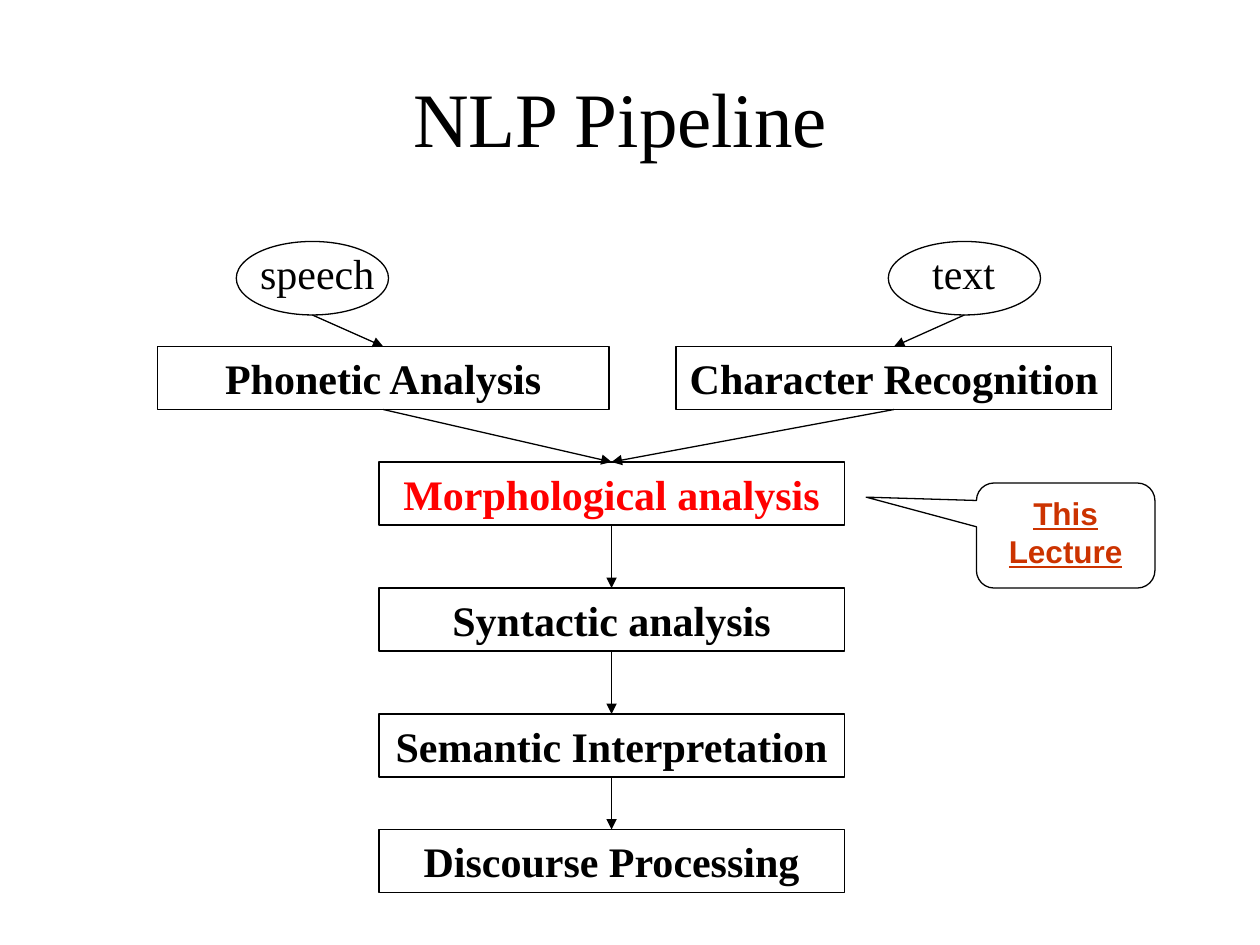
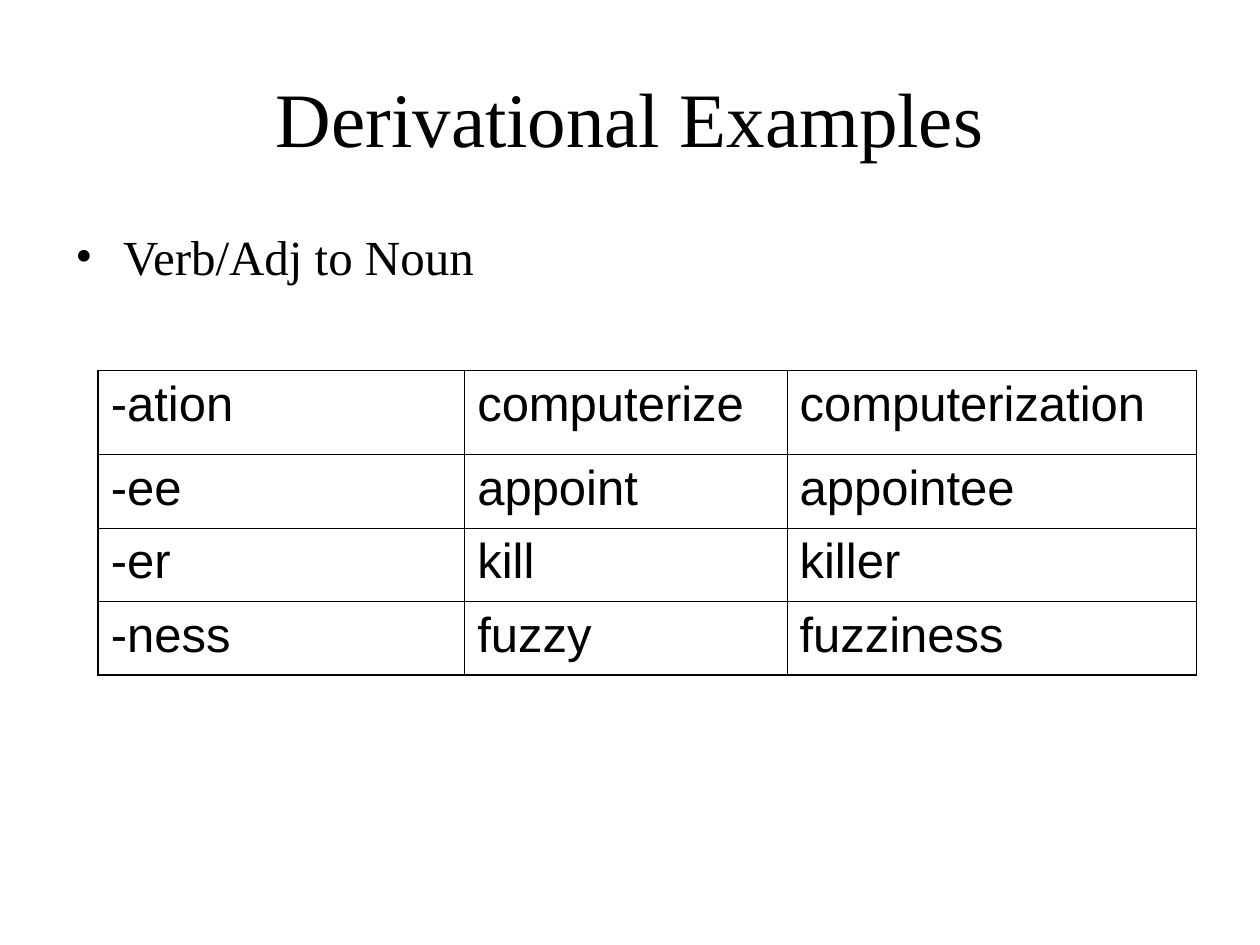
from lxml.etree import SubElement
from pptx import Presentation
from pptx.dml.color import RGBColor
from pptx.enum.shapes import MSO_CONNECTOR, MSO_SHAPE
from pptx.enum.text import MSO_ANCHOR, MSO_AUTO_SIZE, PP_ALIGN
from pptx.oxml.ns import qn
from pptx.util import Inches, Pt

COLORS = {"ink": "000000", "paper": "FFFFFF", "current": "FF0000", "note": "CC3300"}
SERIF, SANS = "Times New Roman", "Arial"
LINE_WIDTH = 0.75
INNER_BORDER, OUTER_BORDER = 0.45, 1.08

# All lengths are units of a 120 x 90 grid over the 10 x 7.5 inch slide.
UNIT = Inches(10) / 120
TITLE_AREA = (6, 3.6, 108, 15)

PIPELINE_TITLE = "NLP Pipeline "
STAGE_HEIGHT = 6
INPUT_TOP, INPUT_WIDTH, INPUT_HEIGHT = 23, 14.5, 7
MAIN_LEFT, MAIN_WIDTH = 36.1, 44.3
# input word, its left, ellipse left, analysis stage, stage left, stage width
BRANCHES = [
    ("speech", 23.6, 22.5, "Phonetic Analysis", 15, 43),
    ("text", 87.6, 84.6, "Character Recognition", 64.4, 41.5),
]
BRANCH_TOP = 33
MAIN_STAGES = [  # name, top, colour
    ("Morphological analysis", 44, "current"),
    ("Syntactic analysis", 56, "ink"),
    ("Semantic Interpretation", 68, "ink"),
    ("Discourse Processing", 79, "ink"),
]
CALLOUT = ("This Lecture", (93, 46, 17, 10), (-1.118, -0.365, 0.167))

EXAMPLES_TITLE = "Derivational Examples"
EXAMPLES_POINT = ("Verb/Adj to Noun", (6, 21, 53, 8))
EXAMPLES = [
    ("-ation", "computerize", "computerization"),
    ("-ee", "appoint", "appointee"),
    ("-er", "kill", "killer"),
    ("-ness", "fuzzy", "fuzziness"),
]
TABLE_LEFT, TABLE_TOP = 9.36, 35.3
COLUMN_WIDTHS = (34.9, 30.7, 39)
ROW_HEIGHTS = (8, 7, 7, 7)


def rgb(name):
    return RGBColor.from_string(COLORS[name])


def grid(*units):
    return [round(unit * UNIT) for unit in units]


def write(frame, text, size, font=SERIF, color="ink", align=None, bold=False, underline=False):
    frame.text = text
    paragraph = frame.paragraphs[0]
    paragraph.alignment = align
    style = paragraph.runs[0].font
    style.name, style.size, style.bold = font, Pt(size), bold
    style.underline = underline
    style.color.rgb = rgb(color)
    return paragraph


def add_titled_slide(deck, text):
    slide = deck.slides.add_slide(deck.slide_layouts[5])
    title = slide.shapes.title
    title.left, title.top, title.width, title.height = grid(*TITLE_AREA)
    frame = title.text_frame
    write(frame, text, 44, align=PP_ALIGN.CENTER)
    frame.vertical_anchor = MSO_ANCHOR.MIDDLE
    frame.auto_size = MSO_AUTO_SIZE.NONE
    return slide


def add_outlined(slide, kind, area, fill=None):
    shape = slide.shapes.add_shape(kind, *grid(*area))
    shape.shadow.inherit = False
    if fill:
        shape.fill.solid()
        shape.fill.fore_color.rgb = rgb(fill)
    else:
        shape.fill.background()
    shape.line.color.rgb = rgb("ink")
    shape.line.width = Pt(LINE_WIDTH)
    return shape


def add_stage(slide, name, area, color="ink"):
    stage = add_outlined(slide, MSO_SHAPE.RECTANGLE, area, "paper")
    frame = stage.text_frame
    write(frame, name, 24, color=color, align=PP_ALIGN.CENTER, bold=True)
    frame.word_wrap = False
    frame.vertical_anchor = MSO_ANCHOR.MIDDLE
    return stage


def add_text(slide, text, area, size):
    box = slide.shapes.add_textbox(*grid(*area))
    box.text_frame.word_wrap = True
    return write(box.text_frame, text, size)


def add_arrow(slide, source, target):
    """Draw an arrow from the bottom middle of source to the top middle of target."""
    arrow = slide.shapes.add_connector(
        MSO_CONNECTOR.STRAIGHT,
        source.left + source.width // 2, source.top + source.height,
        target.left + target.width // 2, target.top)
    arrow.line.color.rgb = rgb("ink")
    arrow.line.width = Pt(LINE_WIDTH)
    SubElement(arrow.line._get_or_add_ln(), qn("a:tailEnd"), type="triangle")
    SubElement(arrow._element.spPr, qn("a:effectLst"))


def add_bullet(paragraph, indent):
    properties = paragraph._p.get_or_add_pPr()
    properties.set("marL", str(Inches(indent)))
    properties.set("indent", str(-Inches(indent)))
    SubElement(properties, qn("a:buFont"), typeface=SERIF)
    SubElement(properties, qn("a:buChar"), char="•")


def set_borders(cell, widths):
    """Put left, right, top and bottom lines ahead of the fill, as the schema asks."""
    properties = cell._tc.get_or_add_tcPr()
    for position, (side, width) in enumerate(zip("LRTB", widths)):
        line = SubElement(properties, qn(f"a:ln{side}"), w=str(Pt(width)))
        fill = SubElement(line, qn("a:solidFill"))
        SubElement(fill, qn("a:srgbClr"), val=COLORS["ink"])
        properties.insert(position, line)


def build_pipeline(deck):
    slide = add_titled_slide(deck, PIPELINE_TITLE)
    main = [add_stage(slide, name, (MAIN_LEFT, top, MAIN_WIDTH, STAGE_HEIGHT), color)
            for name, top, color in MAIN_STAGES]
    for upper, lower in zip(main, main[1:]):
        add_arrow(slide, upper, lower)

    for word, word_left, oval_left, name, left, width in BRANCHES:
        branch = add_stage(slide, name, (left, BRANCH_TOP, width, STAGE_HEIGHT))
        add_text(slide, word, (word_left, INPUT_TOP, 15.4, 6), 24)
        oval = add_outlined(slide, MSO_SHAPE.OVAL,
                            (oval_left, INPUT_TOP, INPUT_WIDTH, INPUT_HEIGHT))
        add_arrow(slide, oval, branch)
        add_arrow(slide, branch, main[0])

    note, area, pointer = CALLOUT
    callout = add_outlined(slide, MSO_SHAPE.ROUNDED_RECTANGULAR_CALLOUT, area)
    for index, value in enumerate(pointer):
        callout.adjustments[index] = value
    write(callout.text_frame, note, 18, SANS, "note", PP_ALIGN.CENTER, bold=True, underline=True)
    callout.text_frame.vertical_anchor = MSO_ANCHOR.TOP


def build_examples(deck):
    slide = add_titled_slide(deck, EXAMPLES_TITLE)
    text, area = EXAMPLES_POINT
    point = add_text(slide, text, area, 28)
    point.space_before = Pt(7)
    add_bullet(point, 0.38)

    last_row, last_column = len(ROW_HEIGHTS) - 1, len(COLUMN_WIDTHS) - 1
    table = slide.shapes.add_table(
        last_row + 1, last_column + 1,
        *grid(TABLE_LEFT, TABLE_TOP, sum(COLUMN_WIDTHS), sum(ROW_HEIGHTS))).table
    table.first_row = table.horz_banding = False
    for column, width in zip(table.columns, grid(*COLUMN_WIDTHS)):
        column.width = width
    for row, height in zip(table.rows, grid(*ROW_HEIGHTS)):
        row.height = height
    for r, words in enumerate(EXAMPLES):
        for c, word in enumerate(words):
            cell = table.cell(r, c)
            cell.fill.background()
            write(cell.text_frame, word, 28, SANS).space_before = Pt(7)
            on_edge = (c == 0, c == last_column, r == 0, r == last_row)
            set_borders(cell, [OUTER_BORDER if edge else INNER_BORDER for edge in on_edge])


def main():
    deck = Presentation()
    deck.slide_width, deck.slide_height = grid(120, 90)
    build_pipeline(deck)
    build_examples(deck)
    deck.save("out.pptx")


if __name__ == "__main__":
    main()
